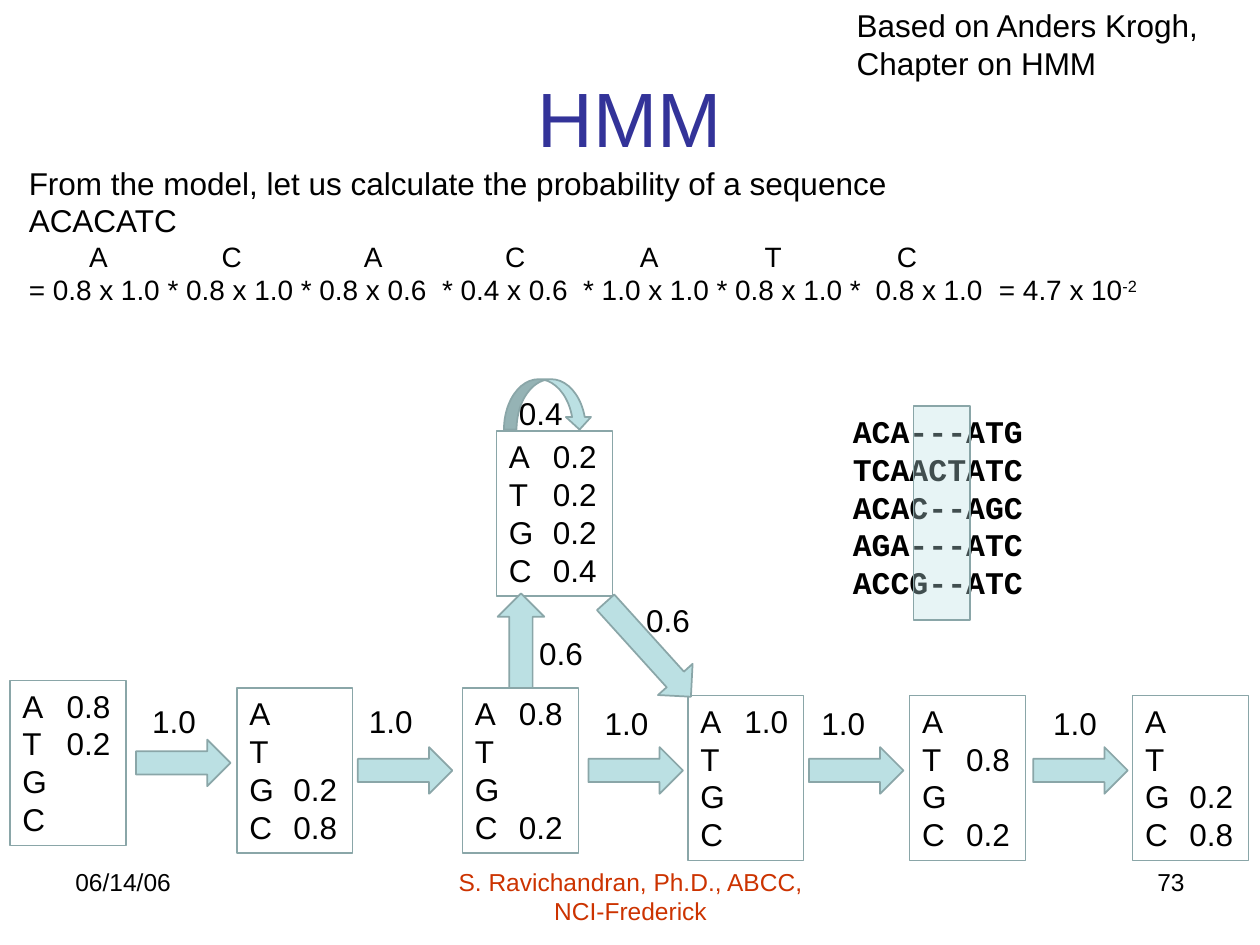
"""Build the HMM sequence probability slide."""
import pptx
import pptx.util
from lxml import etree
from pptx.dml.color import RGBColor
from pptx.enum.shapes import MSO_SHAPE
from pptx.enum.text import MSO_ANCHOR, PP_ALIGN
from pptx.oxml.ns import qn
from pptx.util import Inches, Pt

BLACK = RGBColor(0x00, 0x00, 0x00)
BLUE = RGBColor(0x33, 0x33, 0x99)
RED = RGBColor(0xCC, 0x33, 0x00)
TEAL = RGBColor(0xBB, 0xE0, 0xE3)
EDGE = RGBColor(0x8A, 0xA6, 0xA8)

STATE_SIZE = (0.92, 1.31)
STATES = [
    (0.08, 5.4, {"A": "0.8", "T": "0.2"}),
    (1.88, 5.46, {"G": "0.2", "C": "0.8"}),
    (3.67, 5.46, {"A": "0.8", "C": "0.2"}),
    (5.46, 5.52, {"A": "1.0"}),
    (7.22, 5.52, {"T": "0.8", "C": "0.2"}),
    (8.99, 5.52, {"G": "0.2", "C": "0.8"}),
    (3.94, 3.42, {"A": "0.2", "T": "0.2", "G": "0.2", "C": "0.4"}),
]
ARROWS = [
    (1.08, 5.87, 0.75, 0),
    (2.84, 5.93, 0.75, 0),
    (4.67, 5.93, 0.75, 0),
    (6.42, 5.93, 0.75, 0),
    (8.2, 5.93, 0.75, 0),
    (3.76, 4.9, 0.75, 270),
    (4.64, 4.97, 1.01, 47.9),
]
LABELS = [
    ("1.0", 1.11, 5.52),
    ("1.0", 2.83, 5.52),
    ("1.0", 4.7, 5.54),
    ("1.0", 6.42, 5.54),
    ("1.0", 8.26, 5.54),
    ("0.6", 4.18, 4.98),
    ("0.6", 5.03, 4.72),
    ("0.4", 4.02, 3.08),
]
ALIGNMENT = ["ACA---ATG", "TCAACTATC", "ACAC--AGC", "AGA---ATC", "ACCG--ATC"]
INTRO = ["From the model, let us calculate the probability of a sequence", "ACACATC"]
SEQUENCE = "ACACATC"
SEQUENCE_TABS = [0.48, 1.53, 2.66, 3.78, 4.85, 5.84, 6.89]
FORMULA = ("= 0.8 x 1.0 * 0.8 x 1.0 * 0.8 x 0.6\t* 0.4 x 0.6\t* 1.0 x 1.0 * 0.8 x 1.0 *"
           "\t0.8 x 1.0\t= 4.7 x 10")
FORMULA_TABS = [3.28, 4.4, 6.72, 7.7]


def add_run(p, text, size=18, color=BLACK, font="Arial", bold=False):
    r = p.add_run()
    r.text = text
    r.font.size = Pt(size)
    r.font.name = font
    r.font.bold = bold
    r.font.color.rgb = color
    return r


def add_tabs(p, stops):
    tabs = etree.SubElement(p._p.get_or_add_pPr(), qn("a:tabLst"))
    for stop in stops:
        etree.SubElement(tabs, qn("a:tab"), pos=str(Inches(stop)), algn="l")


def next_paragraph(tf):
    return tf.add_paragraph() if tf.paragraphs[0].runs else tf.paragraphs[0]


def add_text(s, box, lines, align=PP_ALIGN.LEFT, anchor=MSO_ANCHOR.TOP, **style):
    tf = s.shapes.add_textbox(*map(Inches, box)).text_frame
    tf.word_wrap = True
    tf.vertical_anchor = anchor
    for line in lines:
        p = next_paragraph(tf)
        p.alignment = align
        add_run(p, line, **style)
    return tf


def add_shape(s, kind, box, fill=TEAL, width=1.0):
    sp = s.shapes.add_shape(kind, *map(Inches, box))
    sp.shadow.inherit = False
    if fill is None:
        sp.fill.background()
    else:
        sp.fill.solid()
        sp.fill.fore_color.rgb = fill
    sp.line.color.rgb = EDGE
    sp.line.width = Pt(width)
    return sp


def add_state(s, left, top, emissions):
    sp = add_shape(s, MSO_SHAPE.RECTANGLE, (left, top, *STATE_SIZE), None, 0.75)
    tf = sp.text_frame
    tf.word_wrap = True
    tf.vertical_anchor = MSO_ANCHOR.TOP
    tf.margin_right = Inches(0.05)
    for base in "ATGC":
        p = next_paragraph(tf)
        p.alignment = PP_ALIGN.LEFT
        if base in emissions:
            add_tabs(p, [0.35])
            add_run(p, f"{base}\t{emissions[base]}")
        else:
            add_run(p, base)


def add_calculation(s):
    tf = add_text(s, (0.13, 1.25, 9.82, 1.24), INTRO)
    p = tf.add_paragraph()
    add_tabs(p, SEQUENCE_TABS)
    add_run(p, "".join("\t" + base for base in SEQUENCE), 16)
    p = tf.add_paragraph()
    add_tabs(p, FORMULA_TABS)
    add_run(p, FORMULA, 16)
    exponent = add_run(p, "-2", 16)
    exponent._r.get_or_add_rPr().set("baseline", "30000")


def main():
    prs = pptx.Presentation()
    prs.slide_width, prs.slide_height = Inches(10), Inches(7.5)
    s = prs.slides.add_slide(prs.slide_layouts[6])

    add_text(s, (0.5, 0.3, 9, 1.25), ["HMM"], PP_ALIGN.CENTER, MSO_ANCHOR.MIDDLE,
             size=44, color=BLUE)
    add_text(s, (0.5, 6.83, 2.33, 0.52), ["06/14/06"], size=14)
    add_text(s, (3.42, 6.83, 3.17, 0.52), ["S. Ravichandran, Ph.D., ABCC, NCI-Frederick"],
             PP_ALIGN.CENTER, size=14, color=RED)
    add_text(s, (7.17, 6.83, 2.33, 0.52), ["73"], PP_ALIGN.RIGHT, size=14)

    for state in STATES:
        add_state(s, *state)
    for left, top, length, angle in ARROWS:
        add_shape(s, MSO_SHAPE.RIGHT_ARROW, (left, top, length, 0.37)).rotation = angle
    add_shape(s, MSO_SHAPE.CURVED_DOWN_ARROW, (4, 3.01, 0.7, 0.4))
    for label, left, top in LABELS:
        add_text(s, (left, top, 0.57, 0.41), [label])

    add_calculation(s)
    add_text(s, (6.7, 0, 3.33, 0.71), ["Based on Anders Krogh, Chapter on HMM"])
    add_text(s, (6.67, 3.22, 1.8, 1.62), ALIGNMENT, font="Courier New", bold=True)
    band = add_shape(s, MSO_SHAPE.RECTANGLE, (7.25, 3.22, 0.45, 1.7))
    color = band.fill._xPr.find(qn("a:solidFill"))[0]
    etree.SubElement(color, qn("a:alpha"), val="35000")

    prs.save("out.pptx")


if __name__ == "__main__":
    main()
